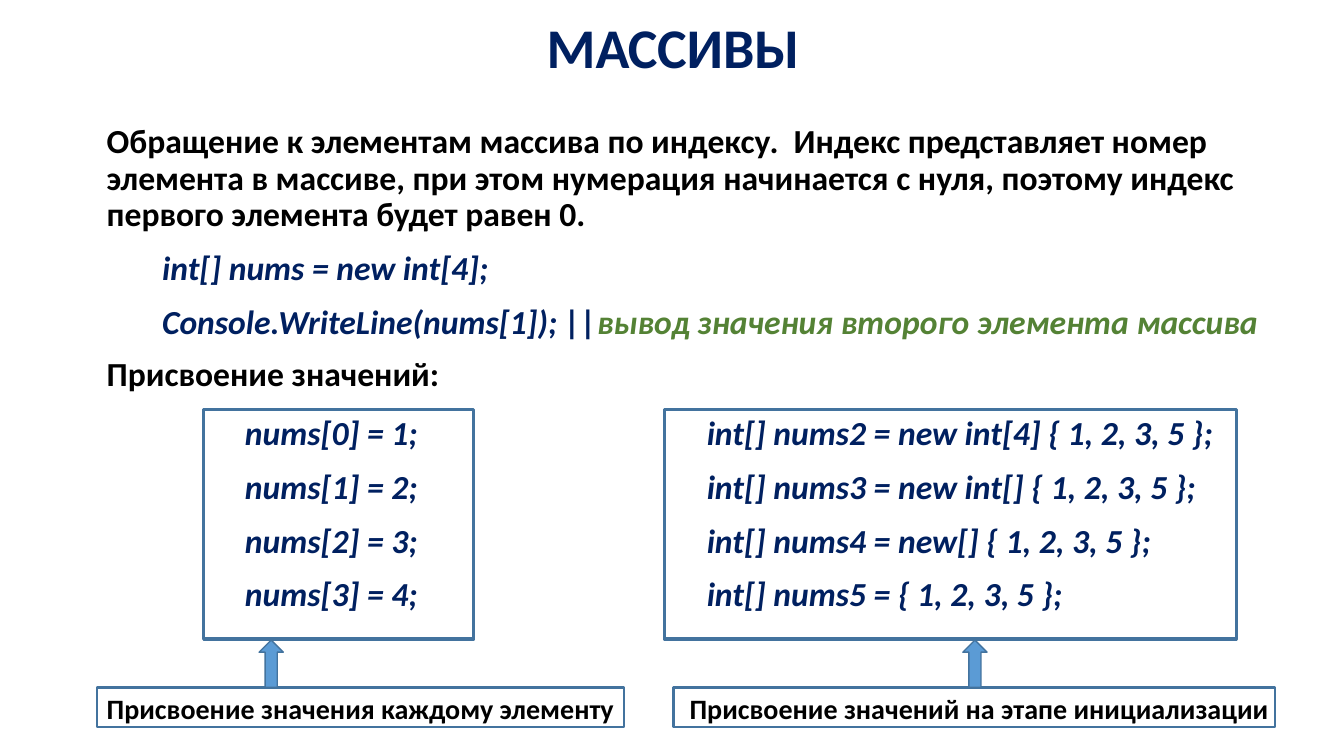
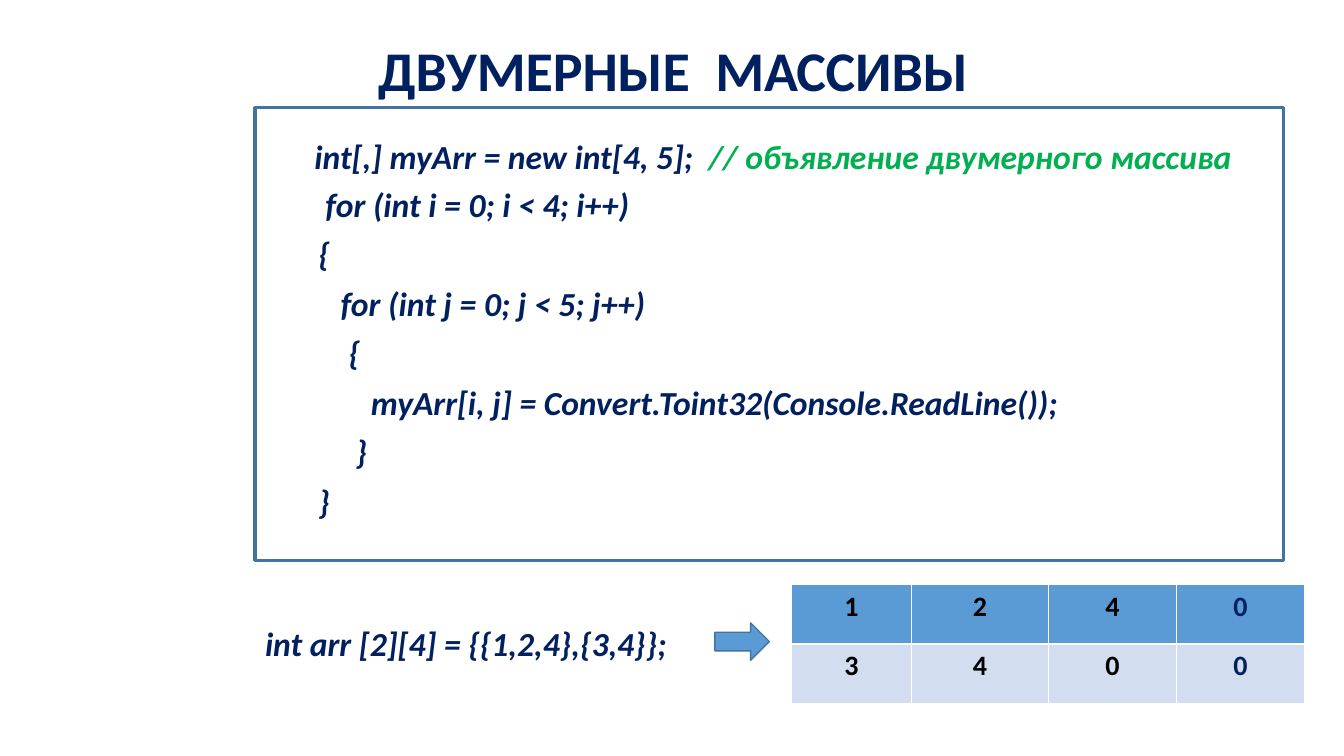
from pptx import Presentation
from pptx.dml.color import RGBColor
from pptx.enum.shapes import MSO_SHAPE
from pptx.enum.text import MSO_ANCHOR, PP_ALIGN
from pptx.util import Pt

PX = 9144  # 100 px to the inch
FONT = "Calibri"
NAVY = RGBColor(0x00, 0x20, 0x60)
BLACK = RGBColor(0x00, 0x00, 0x00)
OLIVE = RGBColor(0x54, 0x82, 0x35)
GREEN = RGBColor(0x00, 0xB0, 0x50)
BLUE = RGBColor(0x5B, 0x9B, 0xD5)
PALE_BLUE = RGBColor(0xD2, 0xDE, 0xEF)
OUTLINE = RGBColor(0x43, 0x73, 0x9E)


def add_shape(page, kind, left, top, width, height, line_width, fill=None):
    shape = page.shapes.add_shape(kind, left * PX, top * PX, width * PX, height * PX)
    shape.shadow.inherit = False
    shape.line.color.rgb = OUTLINE
    shape.line.width = Pt(line_width)
    if fill is None:
        shape.fill.background()
    else:
        shape.fill.solid()
        shape.fill.fore_color.rgb = fill
    return shape


def add_para(frame, text, color=NAVY, size=24, italic=True, indent=0,
             spacing=1.0, before=9.5, align=PP_ALIGN.LEFT):
    para = frame.add_paragraph() if frame.text else frame.paragraphs[0]
    para.add_run().text = text
    para.alignment = align
    para.line_spacing = spacing
    para.space_before = Pt(before)
    para.font.name = FONT
    para.font.size = Pt(size)
    para.font.bold = True
    para.font.italic = italic
    para.font.color.rgb = color
    para._p.get_or_add_pPr().set("marL", str(indent * PX))
    return para


deck = Presentation()
deck.slide_width = 1333 * PX
deck.slide_height = 750 * PX

# Pages with their titles
pages = []
for title_text, top, height in [("МАССИВЫ", 8, 84), ("ДВУМЕРНЫЕ  МАССИВЫ", 0, 146)]:
    page = deck.slides.add_slide(deck.slide_layouts[5])
    title = page.shapes.title
    title.left, title.top = 96 * PX, top * PX
    title.width, title.height = 1143 * PX, height * PX
    title.text_frame.vertical_anchor = MSO_ANCHOR.MIDDLE
    add_para(title.text_frame, title_text, size=40, italic=False,
             spacing=0.9, before=0, align=PP_ALIGN.CENTER)
    pages.append(page)
arrays_page, matrix_page = pages

# Arrays: access by index
box = arrays_page.shapes.add_textbox(96 * PX, 119 * PX, 1237 * PX, 285 * PX)
frame = box.text_frame
frame.word_wrap = True
add_para(frame, "Обращение к элементам массива по индексу.  Индекс представляет номер "
         "элемента в массиве, при этом нумерация начинается с нуля, поэтому индекс "
         "первого элемента будет равен 0.", BLACK, italic=False, spacing=0.9)
add_para(frame, "int[] nums = new int[4];", indent=55)
para = add_para(frame, "Console.WriteLine(nums[1]); ||", indent=55)
span = para.add_run()
span.text = "вывод значения второго элемента массива"
span.font.color.rgb = OLIVE
add_para(frame, "Присвоение значений:", BLACK, italic=False, spacing=0.9, before=12)

# Arrays: two ways to assign, each a code box, an arrow and a caption
ways = [
    # code left, width, inset; arrow left; caption left, width, inset, text
    (202, 268, 41, 257, 96, 523, 10, "Присвоение значения каждому элементу",
     [f"nums[{i}] = {i + 1};" for i in range(4)]),
    (659, 567, 42, 955, 668, 597, 16, "Присвоение значений на этапе инициализации",
     [f"int[] nums{i} = {start}{{ 1, 2, 3, 5 }};" for i, start in
      enumerate(["new int[4] ", "new int[] ", "new[] ", ""], start=2)]),
]
for (code_left, code_width, code_inset, arrow_left,
     caption_left, caption_width, caption_inset, caption_text, code) in ways:
    code_box = add_shape(arrays_page, MSO_SHAPE.RECTANGLE, code_left, 406, code_width, 228, 2.25)
    caption = add_shape(arrays_page, MSO_SHAPE.RECTANGLE, caption_left, 682, caption_width, 39, 1.5)
    add_shape(arrays_page, MSO_SHAPE.UP_ARROW, arrow_left, 635, 24, 47, 1, BLUE)
    for shape, inset, top_inset, anchor in [
            (code_box, code_inset, 3, MSO_ANCHOR.TOP),
            (caption, caption_inset, 2, MSO_ANCHOR.MIDDLE)]:
        frame = shape.text_frame
        frame.word_wrap = True
        frame.vertical_anchor = anchor
        frame.margin_left, frame.margin_top = inset * PX, top_inset * PX
        frame.margin_right = frame.margin_bottom = 0
    for line in code:
        add_para(code_box.text_frame, line)
    add_para(caption.text_frame, caption_text, BLACK, size=20, italic=False, before=0)

# Two-dimensional arrays: filling loop
code_box = add_shape(matrix_page, MSO_SHAPE.RECTANGLE, 253, 107, 1020, 449, 2.25)
frame = code_box.text_frame
frame.word_wrap = True
frame.vertical_anchor = MSO_ANCHOR.MIDDLE
para = add_para(frame, "int[,] myArr = new int[4, 5];  ", indent=49, spacing=0.7)
span = para.add_run()
span.text = "// объявление двумерного массива"
span.font.color.rgb = GREEN
for indent, line in [
    (60, "for (int i = 0; i < 4; i++)"),
    (53, "{"),
    (75, "for (int j = 0; j < 5; j++)"),
    (83, "{"),
    (105, "myArr[i, j] = Convert.Toint32(Console.ReadLine());"),
    (90, "}"),
    (53, "}"),
]:
    add_para(frame, line, indent=indent, spacing=0.9)

# Two-dimensional arrays: initial values and the resulting table
box = matrix_page.shapes.add_textbox(253, 613 * PX, 422 * PX, 50 * PX)
box.left = 253 * PX
box.text_frame.word_wrap = False
add_para(box.text_frame, "int arr [2][4] = {{1,2,4},{3,4}};", before=0)
add_shape(matrix_page, MSO_SHAPE.RIGHT_ARROW, 709, 618, 54, 37, 1, BLUE)

values = [[1, 2, 4, 0], [3, 4, 0, 0]]
table = matrix_page.shapes.add_table(2, 4, 785 * PX, 580 * PX, 509 * PX, 118 * PX).table
for column, width in zip(table.columns, [119, 136, 127, 127]):
    column.width = width * PX
for row, row_values, fill in zip(table.rows, values, [BLUE, PALE_BLUE]):
    row.height = 59 * PX
    for i, (cell, value) in enumerate(zip(row.cells, row_values)):
        cell.fill.solid()
        cell.fill.fore_color.rgb = fill
        add_para(cell.text_frame, str(value), NAVY if i == 3 else BLACK, size=20,
                 italic=False, before=0, align=PP_ALIGN.CENTER)

deck.save("out.pptx")
